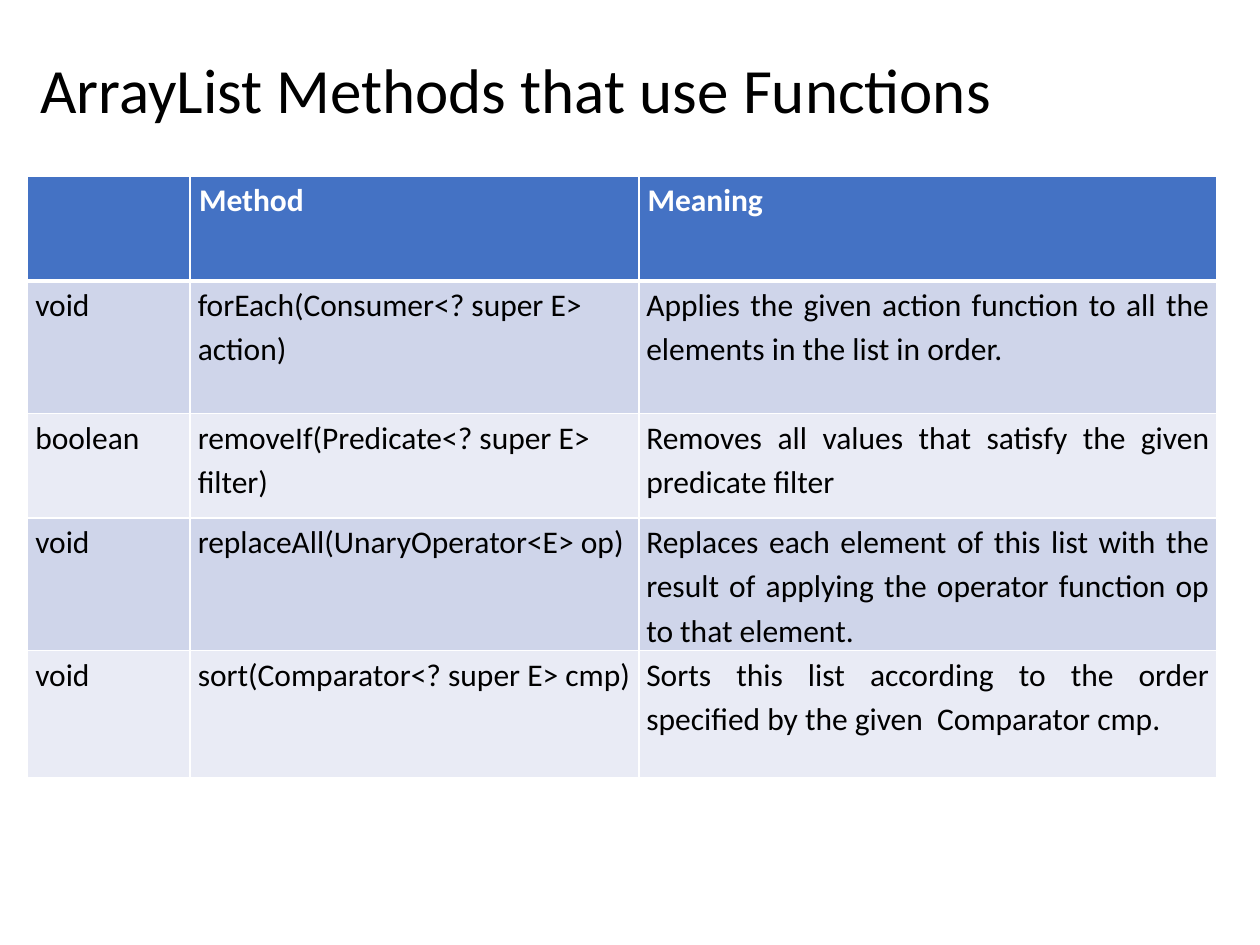
from lxml import etree
from pptx import Presentation
from pptx.dml.color import RGBColor
from pptx.enum import text
from pptx.oxml import ns
from pptx.util import Inches, Pt

TITLE = "ArrayList Methods that use Functions"
METHODS = [
    ("", "Method", "Meaning"),
    ("void", "forEach(Consumer<? super E> action)",
     "Applies the given action function to all the elements in the list in order."),
    ("boolean", "removeIf(Predicate<? super E> filter)",
     "Removes all values that satisfy the given predicate filter"),
    ("void", "replaceAll(UnaryOperator<E> op)",
     "Replaces each element of this list with the result of applying "
     "the operator function op to that element."),
    ("void", "sort(Comparator<? super E> cmp)",
     "Sorts this list according to the order specified by the given  Comparator cmp."),
]
COLUMN_WIDTHS = [1.29, 3.56, 4.59]
ROW_HEIGHTS = [0.83, 1.05, 0.83, 1.05, 1.01]
HEADER_FILL = "4472C4"
BAND_FILLS = ["E9EBF5", "CFD5EA"]
WHITE, BLACK = "FFFFFF", "000000"
LEFT = 0.22


def rgb(value):
    return RGBColor.from_string(value)


def style(paragraph, size, color, bold=False):
    for run in paragraph.runs:
        run.font.name = "Calibri"
        run.font.size = Pt(size)
        run.font.color.rgb = rgb(color)
        run.font.bold = bold


def add_borders(cell, widths):
    properties = cell._tc.get_or_add_tcPr()
    for side, width in widths.items():
        line = etree.SubElement(properties, ns.qn(f"a:ln{side}"), w=str(Pt(width)))
        fill = etree.SubElement(line, ns.qn("a:solidFill"))
        etree.SubElement(fill, ns.qn("a:srgbClr"), val=WHITE)


def fill_cell(cell, content, row, column):
    header = row == 0
    add_borders(cell, {"L": 1, "R": 1, "T": 3 if row == 1 else 1, "B": 3 if header else 1})
    cell.fill.solid()
    cell.fill.fore_color.rgb = rgb(HEADER_FILL if header else BAND_FILLS[row % 2])
    cell.margin_left = cell.margin_right = Inches(0.07 if header else 0.06)
    cell.margin_top = cell.margin_bottom = Inches(0.04 if header else 0)
    cell.text_frame.text = content
    paragraph = cell.text_frame.paragraphs[0]
    if not header:
        paragraph.line_spacing = 1.15
        if column == 2:
            paragraph.alignment = text.PP_ALIGN.JUSTIFY
    style(paragraph, 18, WHITE if header else BLACK, header)


def add_methods(slide):
    methods = slide.shapes.add_table(
        len(METHODS), len(COLUMN_WIDTHS), Inches(LEFT), Inches(1.4),
        Inches(sum(COLUMN_WIDTHS)), Inches(sum(ROW_HEIGHTS))).table
    for column, width in zip(methods.columns, COLUMN_WIDTHS):
        column.width = Inches(width)
    for row, height in zip(methods.rows, ROW_HEIGHTS):
        row.height = Inches(height)
    for r, entry in enumerate(METHODS):
        for c, content in enumerate(entry):
            fill_cell(methods.cell(r, c), content, r, c)


def add_title(slide):
    title = slide.shapes.add_textbox(
        Inches(LEFT), Inches(-0.74), Inches(7.95), Inches(1.8)).text_frame
    title.word_wrap = True
    title.vertical_anchor = text.MSO_ANCHOR.BOTTOM
    title.text = TITLE
    title.paragraphs[0].line_spacing = 0.9
    style(title.paragraphs[0], 36, BLACK)


def main():
    deck = Presentation()
    deck.slide_width, deck.slide_height = Inches(10), Inches(7.5)
    slide = deck.slides.add_slide(deck.slide_layouts[6])
    add_methods(slide)
    add_title(slide)
    deck.save("out.pptx")


if __name__ == "__main__":
    main()
